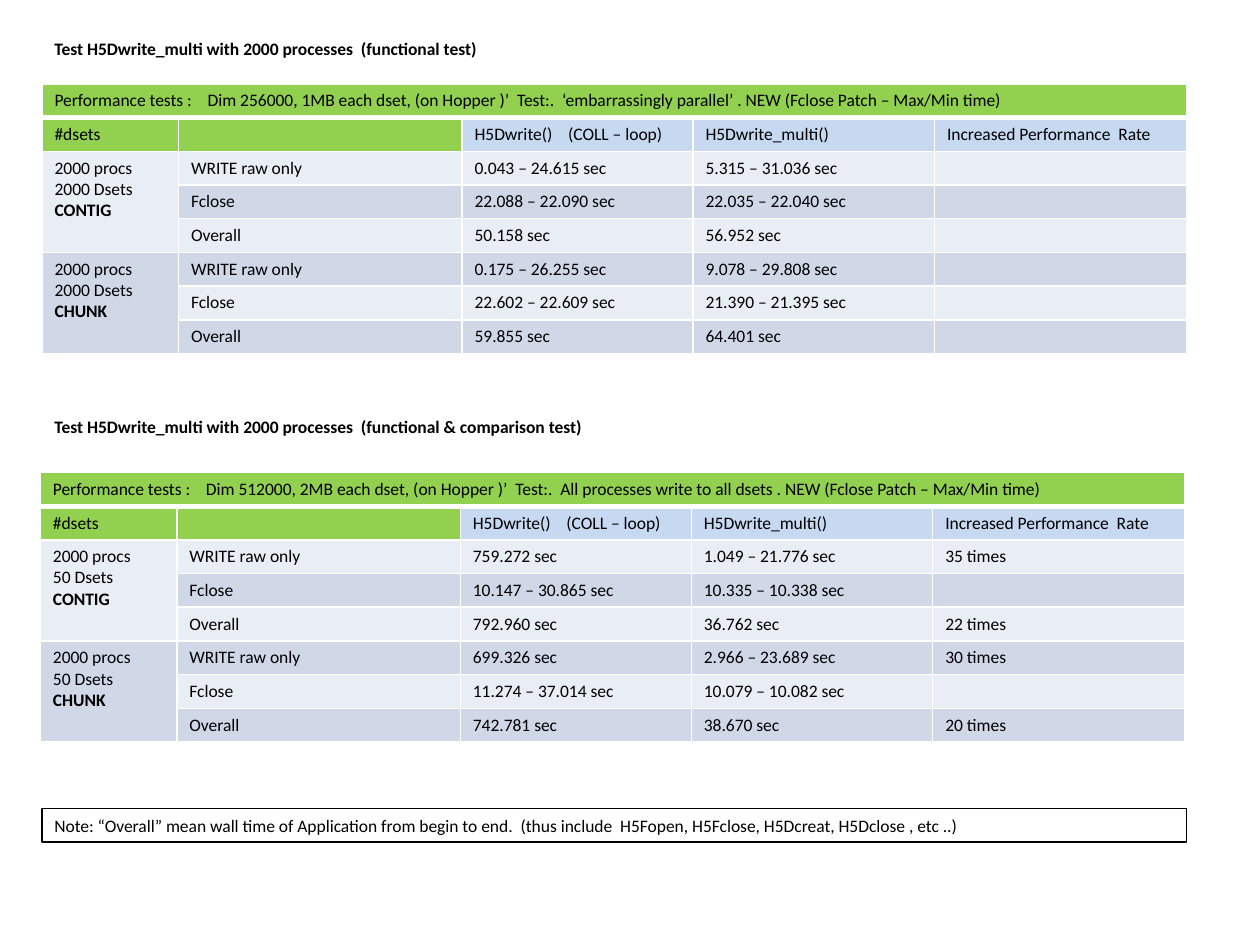
from dataclasses import dataclass

from lxml import etree
from pptx import Presentation, util as u
from pptx.dml.color import RGBColor
from pptx.enum import shapes, text
from pptx.oxml import ns


@dataclass(frozen=True)
class Theme:
    font: str = "Calibri"
    size: float = 10
    ink: str = "000000"
    rule: str = "FFFFFF"
    green: str = "92D050"
    blue: str = "C6D9F1"
    bands: tuple[str, str] = ("E9EDF4", "D0D8E8")


@dataclass(frozen=True)
class Group:
    label: str
    rows: tuple[tuple[str, str, str], ...]  # loop time, multi time, rate


@dataclass(frozen=True)
class Test:
    left: float
    title_top: float
    title_width: float
    table_top: float
    title: str
    heading: str
    groups: tuple[Group, Group]


THEME = Theme()
# The page is a grid of 120 columns by 90 rows
WIDTH, HEIGHT = u.Inches(10), u.Inches(7.5)
UNIT = WIDTH / 120
MARGIN, BOX_HEIGHT, ROW_HEIGHT = 4, 3.2, 3.2
COLUMNS = (13, 27, 22, 23, 24)
HEADERS = ("#dsets", "", "H5Dwrite()    (COLL – loop)", "H5Dwrite_multi()",
           "Increased Performance  Rate")
MEASURES = ("WRITE raw only", "Fclose", "Overall")

TESTS = (
    Test(MARGIN, 3, 44, 8,
         "Test H5Dwrite_multi with 2000 processes  (functional test)",
         "Performance tests :    Dim 256000, 1MB each dset, (on Hopper )’  Test:.  "
         "‘embarrassingly parallel’ . NEW (Fclose Patch – Max/Min time)",
         (Group("2000 procs\n2000 Dsets\nCONTIG", (
             ("0.043 – 24.615 sec", "5.315 – 31.036 sec", ""),
             ("22.088 – 22.090 sec", "22.035 – 22.040 sec", ""),
             ("50.158 sec", "56.952 sec", ""))),
          Group("2000 procs\n2000 Dsets\nCHUNK", (
             ("0.175 – 26.255 sec", "9.078 – 29.808 sec", ""),
             ("22.602 – 22.609 sec", "21.390 – 21.395 sec", ""),
             ("59.855 sec", "64.401 sec", ""))))),
    Test(3.84, 39, 56, 45,
         "Test H5Dwrite_multi with 2000 processes  (functional & comparison test)",
         "Performance tests :    Dim 512000, 2MB each dset, (on Hopper )’  Test:.  "
         "All processes write to all dsets . NEW (Fclose Patch – Max/Min time)",
         (Group("2000 procs\n50 Dsets\nCONTIG", (
             ("759.272 sec", "1.049 – 21.776 sec", "35 times"),
             ("10.147 – 30.865 sec", "10.335 – 10.338 sec", ""),
             ("792.960 sec", "36.762 sec", "22 times"))),
          Group("2000 procs\n50 Dsets\nCHUNK", (
             ("699.326 sec", "2.966 – 23.689 sec", "30 times"),
             ("11.274 – 37.014 sec", "10.079 – 10.082 sec", ""),
             ("742.781 sec", "38.670 sec", "20 times"))))),
)
NOTE = ("Note: “Overall” mean wall time of Application from begin to end.  "
        "(thus include  H5Fopen, H5Fclose, H5Dcreat, H5Dclose , etc ..)")


def grid(*units: float) -> list[int]:
    return [round(n * UNIT) for n in units]


def write(frame, words: str, bold: bool = False) -> None:
    frame.text = words
    for para in frame.paragraphs:
        for span in para.runs:
            span.font.name = THEME.font
            span.font.size = u.Pt(THEME.size)
            span.font.bold = bold
            span.font.color.rgb = RGBColor.from_string(THEME.ink)
        if not para.runs:  # keeps empty cells as low as filled ones
            etree.SubElement(para._p, ns.qn("a:endParaRPr"), sz=str(int(THEME.size * 100)))


def style_cell(cell, color: str, bottom: float = 1) -> None:
    properties = cell._tc.get_or_add_tcPr()
    for side, points in (("L", 1), ("R", 1), ("T", 1), ("B", bottom)):
        line = etree.SubElement(properties, ns.qn(f"a:ln{side}"), w=str(u.Pt(points)))
        fill = etree.SubElement(line, ns.qn("a:solidFill"))
        etree.SubElement(fill, ns.qn("a:srgbClr"), val=THEME.rule)
    cell.fill.solid()
    cell.fill.fore_color.rgb = RGBColor.from_string(color)


def add_title(page, test: Test) -> None:
    box = page.shapes.add_textbox(
        *grid(MARGIN, test.title_top, test.title_width, BOX_HEIGHT))
    box.text_frame.word_wrap = True
    box.text_frame.auto_size = text.MSO_AUTO_SIZE.SHAPE_TO_FIT_TEXT
    write(box.text_frame, test.title, bold=True)


def add_results(page, test: Test) -> None:
    rows = [(test.heading, "", "", "", ""), HEADERS]
    for group in test.groups:
        for index, (measure, values) in enumerate(zip(MEASURES, group.rows)):
            rows.append((group.label if index == 0 else "", measure, *values))

    table = page.shapes.add_table(
        len(rows), len(COLUMNS),
        *grid(test.left, test.table_top, sum(COLUMNS), ROW_HEIGHT * len(rows))).table
    table.first_row = table.horz_banding = False
    for column, width in zip(table.columns, grid(*COLUMNS)):
        column.width = width

    for r, values in enumerate(rows):
        for c, words in enumerate(values):
            cell = table.cell(r, c)
            if r == 0 or (r == 1 and c < 2):
                color = THEME.green
            elif r == 1:
                color = THEME.blue
            else:  # group labels take the band of their first row
                first = 2 + (r - 2) // len(MEASURES) * len(MEASURES)
                color = THEME.bands[(first if c == 0 else r) % 2]
            style_cell(cell, color, bottom=3 if r == 0 else 1)
            write(cell.text_frame, words)

    # Heading across the table, group labels down their rows
    table.cell(0, 0).merge(table.cell(0, len(COLUMNS) - 1))
    for first in (2, 2 + len(MEASURES)):
        label = table.cell(first, 0)
        label.merge(table.cell(first + len(MEASURES) - 1, 0))
        label.text_frame.paragraphs[-1].runs[0].font.bold = True


def add_note(page) -> None:
    box = page.shapes.add_shape(
        shapes.MSO_SHAPE.RECTANGLE, *grid(MARGIN, 77, sum(COLUMNS), BOX_HEIGHT))
    box.shadow.inherit = False
    box.fill.background()
    box.line.color.rgb = RGBColor.from_string(THEME.ink)
    box.line.width = u.Pt(0.75)
    frame = box.text_frame
    frame.word_wrap = True
    frame.auto_size = text.MSO_AUTO_SIZE.SHAPE_TO_FIT_TEXT
    frame.vertical_anchor = text.MSO_ANCHOR.TOP
    write(frame, NOTE)
    frame.paragraphs[0].alignment = text.PP_ALIGN.LEFT


def main() -> None:
    deck = Presentation()
    deck.slide_width, deck.slide_height = WIDTH, HEIGHT
    page = deck.slides.add_slide(deck.slide_layouts[6])
    for test in TESTS:
        add_title(page, test)
        add_results(page, test)
    add_note(page)
    deck.save("out.pptx")


if __name__ == "__main__":
    main()
